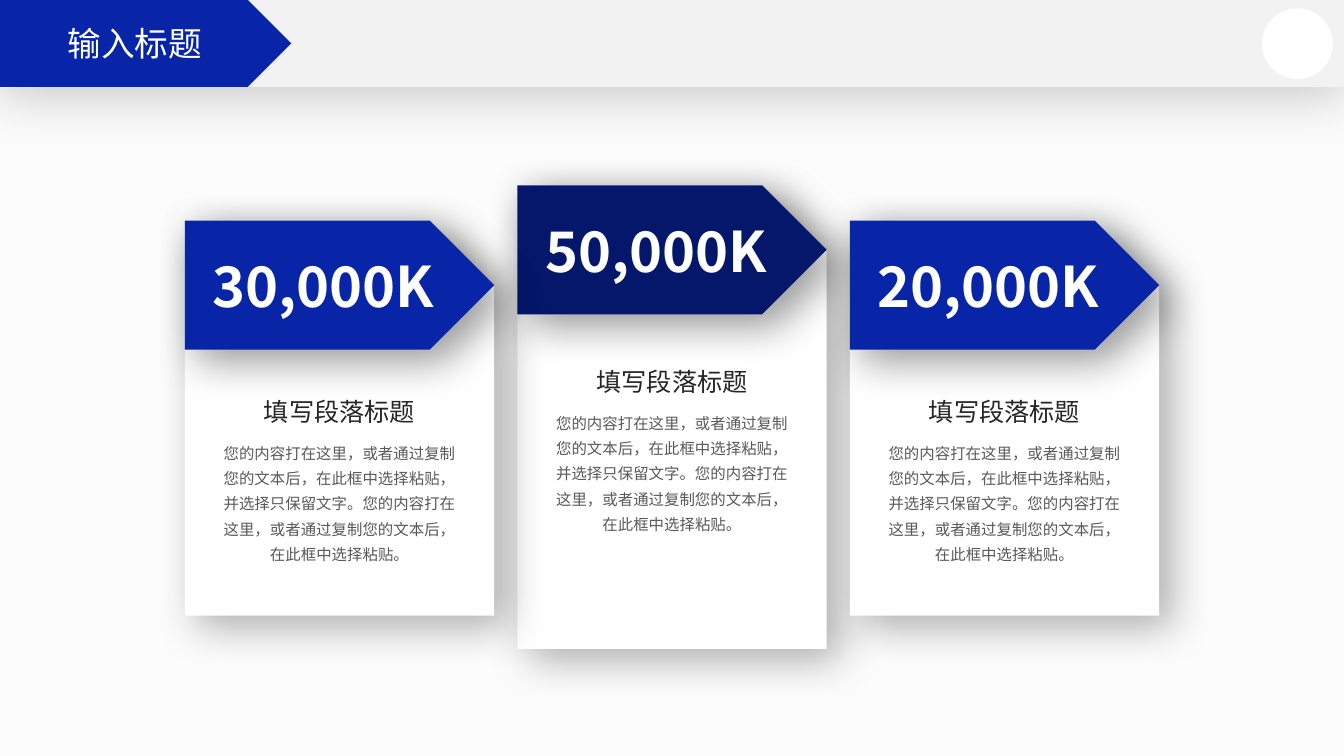
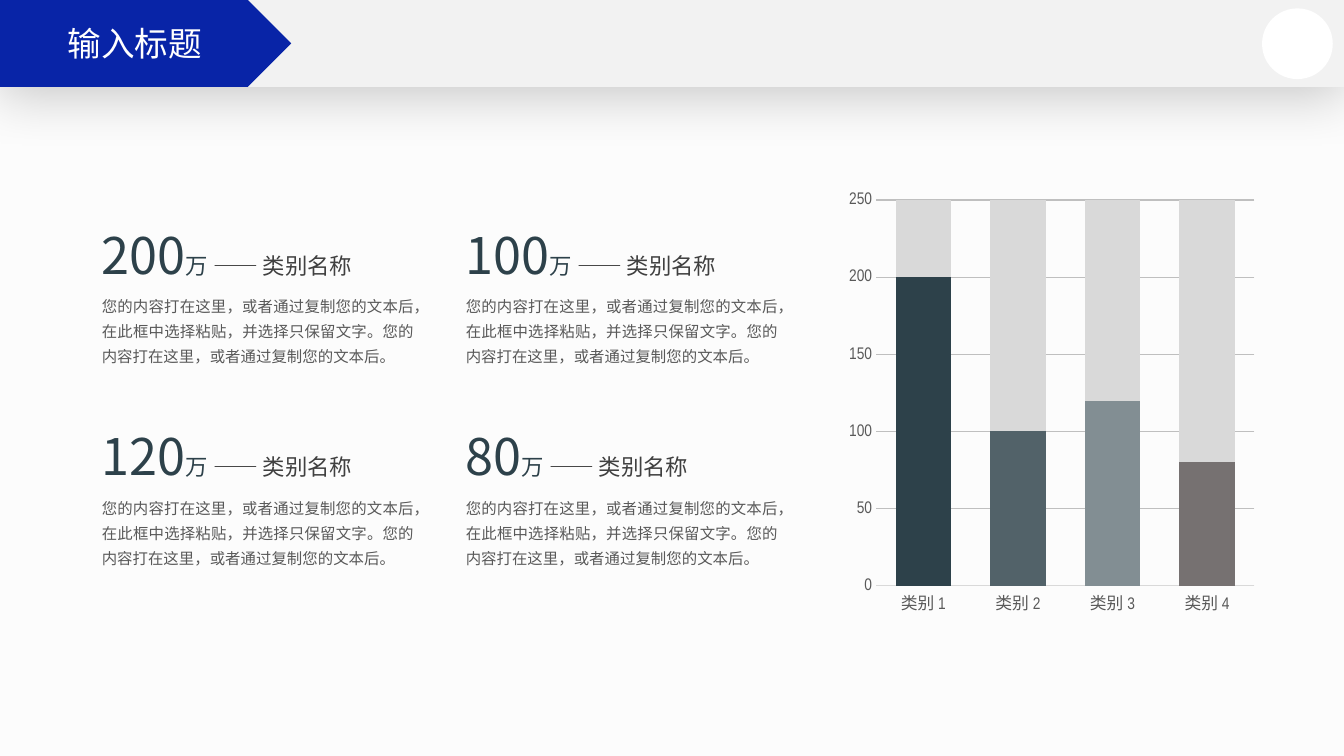
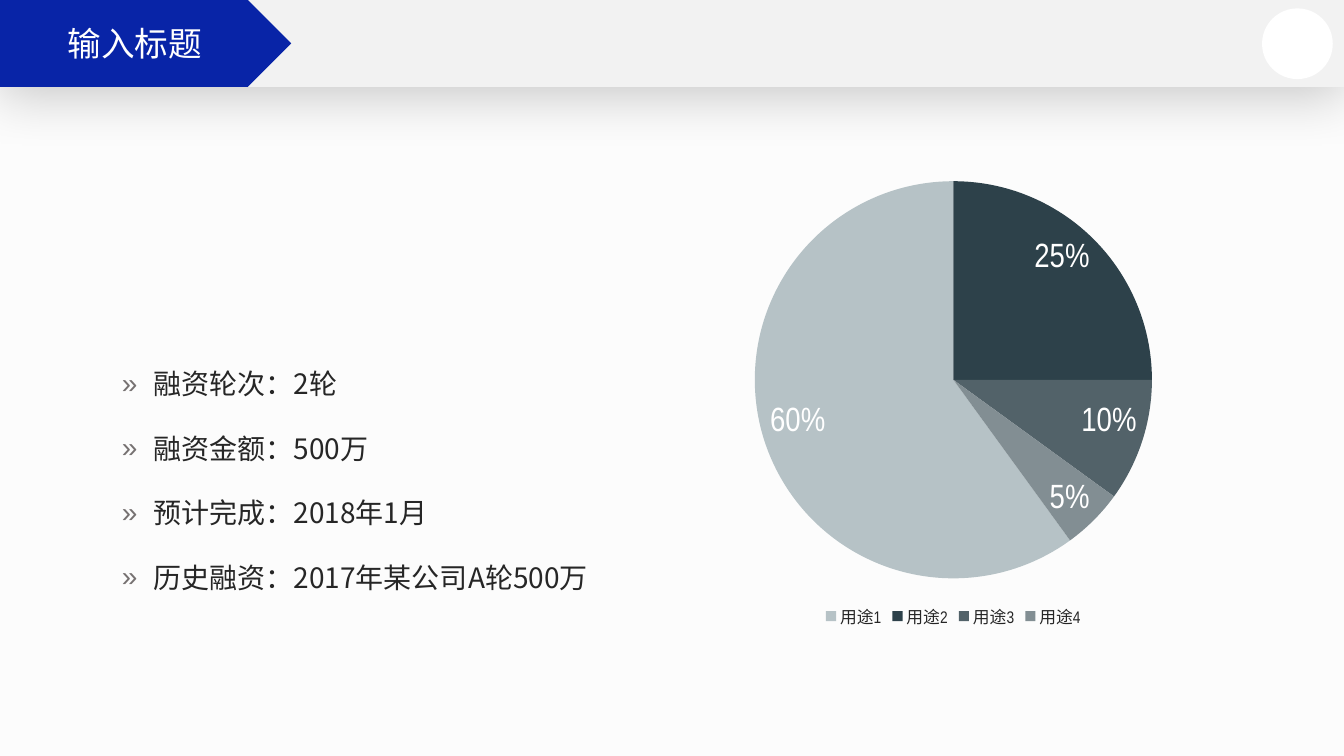
from lxml import etree
from pptx import Presentation
from pptx.chart.data import CategoryChartData
from pptx.dml.color import RGBColor
from pptx.enum.chart import XL_CHART_TYPE, XL_LABEL_POSITION, XL_LEGEND_POSITION, XL_TICK_MARK
from pptx.enum.shapes import MSO_SHAPE
from pptx.enum.text import MSO_ANCHOR, PP_ALIGN
from pptx.oxml.ns import qn
from pptx.util import Pt

RECTANGLE = MSO_SHAPE.RECTANGLE
ARROW = MSO_SHAPE.PENTAGON
SNIPPED = MSO_SHAPE.SNIP_1_RECTANGLE
CIRCLE = MSO_SHAPE.OVAL
CENTER = PP_ALIGN.CENTER
JUSTIFY = PP_ALIGN.JUSTIFY
NO_TICK = XL_TICK_MARK.NONE

FONT = "Noto Sans CJK SC"
CHART_FONT = "Arial Narrow"
BLUE, NAVY, WHITE = "0824A7", "05176B", "FFFFFF"
SLATE, TEAL, STEEL, TAUPE, MIST = "2D414A", "526269", "828E93", "767171", "B6C2C6"
PAPER, BAND, PALE, GRID = "FCFCFC", "F2F2F2", "D9D9D9", "BFBFBF"
INK, DARK, GREY = "262626", "404040", "595959"

color = RGBColor.from_string


def add_box(slide, left, top, width, height, preset=None, fill=None, shadow=None):
    """Add a preset shape, or a text box without preset; shadow is (alpha %, blur, distance, angle)."""
    area = Pt(left), Pt(top), Pt(width), Pt(height)
    if preset is None:
        shape = slide.shapes.add_textbox(*area)
    else:
        shape = slide.shapes.add_shape(preset, *area)
        shape.fill.solid()
        shape.fill.fore_color.rgb = color(fill)
        shape.line.fill.background()
        shape.shadow.inherit = False
        shape.text_frame.vertical_anchor = MSO_ANCHOR.MIDDLE
    if shadow:
        alpha, blur, distance, angle = shadow
        effects = shape._element.spPr.find(qn("a:effectLst"))
        outer = etree.SubElement(effects, qn("a:outerShdw"), blurRad=str(Pt(blur)),
                                 dist=str(Pt(distance)), dir=str(angle * 60000), rotWithShape="0")
        shade = etree.SubElement(outer, qn("a:srgbClr"), val="000000")
        etree.SubElement(shade, qn("a:alpha"), val=str(alpha * 1000))
    frame = shape.text_frame
    frame.word_wrap = True
    frame.margin_left = frame.margin_top = frame.margin_right = frame.margin_bottom = 0
    return shape


def write(paragraph, text, size, ink, bold=False, align=None, spacing=None, before=None, after=None):
    """Append a run to the paragraph and format both."""
    run = paragraph.add_run()
    run.text = text
    run.font.size = Pt(size)
    run.font.bold = bold
    run.font.name = FONT
    run.font.color.rgb = color(ink)
    etree.SubElement(run._r.get_or_add_rPr(), qn("a:ea"), typeface=FONT)
    if align is not None:
        paragraph.alignment = align
    if spacing is not None:
        paragraph.line_spacing = spacing
    if before is not None:
        paragraph.space_before = Pt(before)
    if after is not None:
        paragraph.space_after = Pt(after)


presentation = Presentation()
presentation.slide_width = Pt(960)
presentation.slide_height = Pt(540)

# Shared background, band and title
slides = []
for _ in range(3):
    slide = presentation.slides.add_slide(presentation.slide_layouts[6])
    slide.background.fill.solid()
    slide.background.fill.fore_color.rgb = color(PAPER)
    add_box(slide, 0, 0, 960, 62, RECTANGLE, BAND, (20, 38, 7, 90))
    add_box(slide, 901.5, 6, 50.5, 50.5, CIRCLE, WHITE)
    title = add_box(slide, 0, 0, 208, 62, ARROW, BLUE)
    write(title.text_frame.paragraphs[0], "输入标题", 24, WHITE, align=CENTER)
    slides.append(slide)
cards_slide, columns_slide, pie_slide = slides

# Slide 1: three cards, the middle one raised
CARD_TEXT = ("您的内容打在这里，或者通过复制您的文本后，在此框中选择粘贴，"
             "并选择只保留文字。您的内容打在这里，或者通过复制您的文本后，在此框中选择粘贴。")
cards = [
    (1, "50,000K", NAVY, 132.5, 331, 265),
    (0, "30,000K", BLUE, 157.7, 282, 286.5),
    (2, "20,000K", BLUE, 157.7, 282, 286.5),
]
for column, amount, fill, top, height, text_top in cards:
    left = 132 + column * 237.5
    card = add_box(cards_slide, left, top, 221, height, SNIPPED, WHITE, (30, 30, 12, 45))
    card.adjustments[0] = 0.21
    flag = add_box(cards_slide, left, top, 221, 92, ARROW, fill, (40, 30, 12, 45))
    write(flag.text_frame.paragraphs[0], amount, 40, WHITE, bold=True, align=CENTER)
    frame = add_box(cards_slide, left + 26.5, text_top, 168, 117).text_frame
    write(frame.paragraphs[0], "填写段落标题", 18, INK, align=CENTER, spacing=Pt(18))
    write(frame.add_paragraph(), CARD_TEXT, 11, GREY, align=CENTER, spacing=Pt(18), before=8)

# Slide 2: four figures and a stacked column chart
FIGURE_TEXT = ("您的内容打在这里，或者通过复制您的文本后，在此框中选择粘贴，"
               "并选择只保留文字。您的内容打在这里，或者通过复制您的文本后。")
for index, figure in enumerate(["200", "100", "120", "80"]):
    row, column = divmod(index, 2)
    left, top = 72.7 + column * 260, 160 + row * 144
    heading = add_box(columns_slide, left, top, 223, 44).text_frame.paragraphs[0]
    write(heading, figure, 36, SLATE)
    write(heading, "万 ", 16, SLATE)
    write(heading, "—— 类别名称", 16, DARK)
    body = add_box(columns_slide, left, top + 47.5, 223, 55).text_frame.paragraphs[0]
    write(body, FIGURE_TEXT, 11, GREY, align=JUSTIFY, spacing=Pt(18), after=10)

column_data = CategoryChartData()
column_data.categories = ["类别 1", "类别 2", "类别 3", "类别 4"]
column_data.add_series("Series 1", [200, 100, 120, 80])
column_data.add_series("Series 2", [300] * 4)
chart = columns_slide.shapes.add_chart(XL_CHART_TYPE.COLUMN_STACKED, Pt(600.5), Pt(131),
                                       Pt(301.5), Pt(314.5), column_data).chart
chart.has_title = False
chart.has_legend = False
chart.font.name = CHART_FONT
chart.font.size = Pt(10)
plot = chart.plots[0]
plot.gap_width = 70
plot.overlap = 100
plot.vary_by_categories = False
values, backdrop = plot.series
backdrop.format.fill.solid()
backdrop.format.fill.fore_color.rgb = color(PALE)
for index, fill in enumerate([SLATE, TEAL, STEEL, TAUPE]):
    point_fill = values.points[index].format.fill
    point_fill.solid()
    point_fill.fore_color.rgb = color(fill)
for axis in (chart.category_axis, chart.value_axis):
    axis.major_tick_mark = axis.minor_tick_mark = NO_TICK
    axis.tick_labels.font.name = CHART_FONT
    axis.tick_labels.font.size = Pt(12)
    axis.tick_labels.font.color.rgb = color(GREY)
chart.category_axis.format.line.color.rgb = color(PALE)
chart.category_axis.format.line.width = Pt(0.75)
value_axis = chart.value_axis
value_axis.minimum_scale = 0
value_axis.maximum_scale = 250
value_axis.major_unit = 50
value_axis.format.line.fill.background()
value_axis.major_gridlines.format.line.color.rgb = color(GRID)
value_axis.major_gridlines.format.line.width = Pt(0.75)

# Slide 3: funding facts and a pie chart
facts = ["融资轮次：2轮", "融资金额：500万", "预计完成：2018年1月", "历史融资：2017年某公司A轮500万"]
frame = add_box(pie_slide, 87, 250, 342, 171).text_frame
for index, fact in enumerate(facts):
    paragraph = frame.add_paragraph() if index else frame.paragraphs[0]
    properties = paragraph._p.get_or_add_pPr()
    properties.set("marL", str(Pt(22.5)))
    properties.set("indent", str(-Pt(22.5)))
    bullet_color = etree.SubElement(properties, qn("a:buClr"))
    etree.SubElement(bullet_color, qn("a:srgbClr"), val=TAUPE)
    etree.SubElement(properties, qn("a:buFont"), typeface="Arial")
    etree.SubElement(properties, qn("a:buChar"), char="»")
    write(paragraph, fact, 20, INK, spacing=1.5, after=10)

pie_data = CategoryChartData(number_format="0%")
pie_data.categories = ["用途1", "用途2", "用途3", "用途4"]
pie_data.add_series("Series 1", [0.6, 0.25, 0.1, 0.05])
chart = pie_slide.shapes.add_chart(XL_CHART_TYPE.PIE, Pt(431.5), Pt(119.5),
                                   Pt(499), Pt(332.5), pie_data).chart
chart.has_title = False
chart.font.name = CHART_FONT
chart.font.size = Pt(10)
chart.has_legend = True
chart.legend.position = XL_LEGEND_POSITION.BOTTOM
chart.legend.include_in_layout = False
chart.legend.font.name = CHART_FONT
chart.legend.font.size = Pt(12)
chart.legend.font.color.rgb = color(INK)
plot = chart.plots[0]
for index, fill in enumerate([MIST, SLATE, TEAL, STEEL]):
    point_fill = plot.series[0].points[index].format.fill
    point_fill.solid()
    point_fill.fore_color.rgb = color(fill)
plot.has_data_labels = True
labels = plot.data_labels
labels.show_value = True
labels.show_percentage = False
labels.number_format = "0%"
labels.number_format_is_linked = False
labels.position = XL_LABEL_POSITION.INSIDE_END
labels.font.name = CHART_FONT
labels.font.size = Pt(24)
labels.font.color.rgb = color(WHITE)
etree.SubElement(plot._element, qn("c:firstSliceAng"), val="144")

presentation.save("out.pptx")
